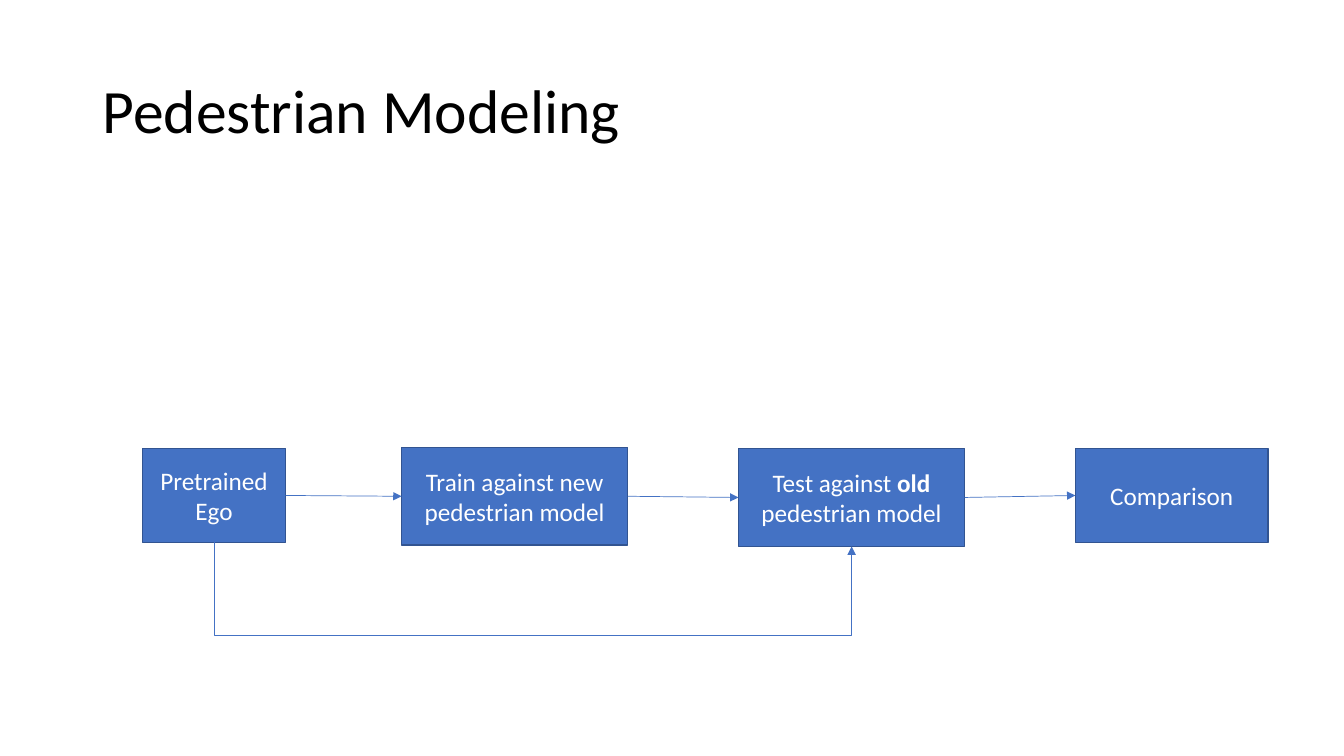
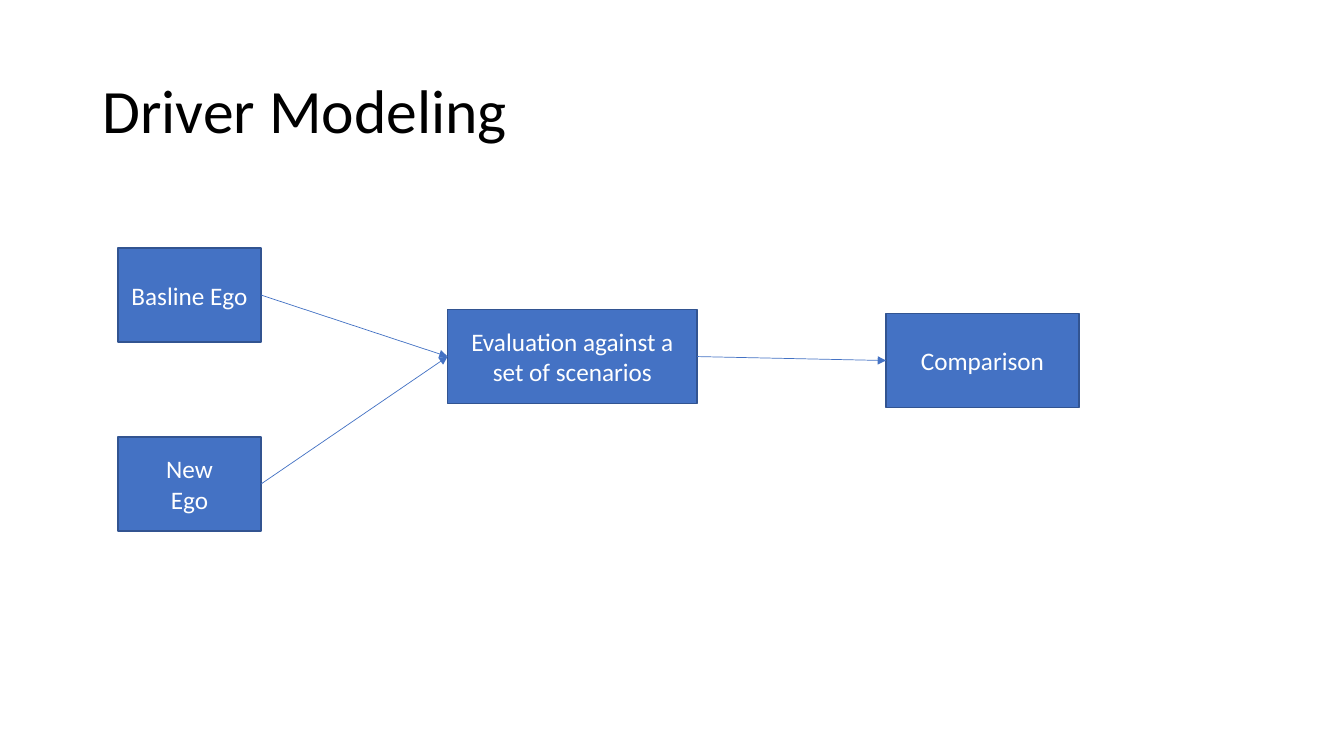
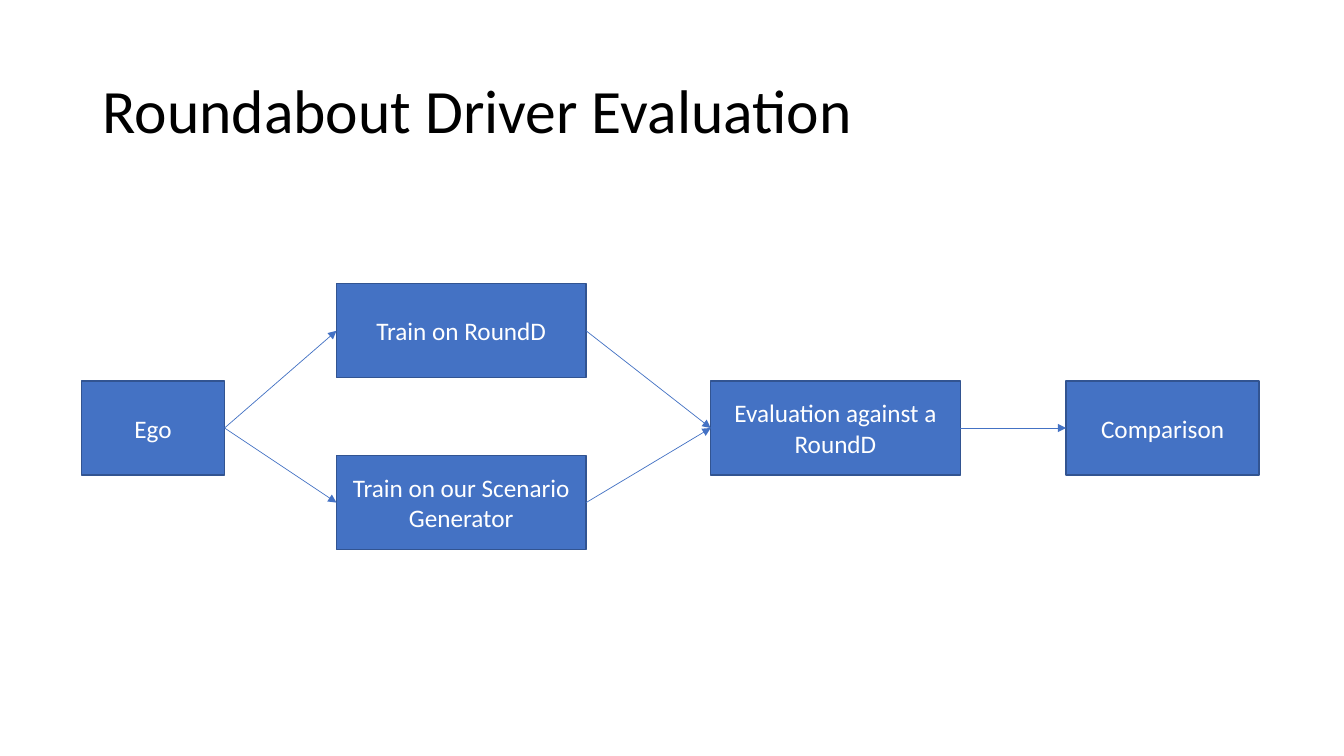
from dataclasses import dataclass

from lxml.etree import SubElement
from pptx import Presentation
from pptx.dml.color import RGBColor
from pptx.enum.shapes import MSO_CONNECTOR, MSO_SHAPE
from pptx.enum.text import MSO_ANCHOR, PP_ALIGN
from pptx.oxml.ns import qn
from pptx.util import Cm, Pt

TOP, LEFT, BOTTOM, RIGHT = range(4)


@dataclass(frozen=True)
class Theme:
    """Colours, type sizes and common lengths in centimetres."""

    font: str = "Calibri"
    title_color: RGBColor = RGBColor(0, 0, 0)
    step_color: RGBColor = RGBColor(0x44, 0x72, 0xC4)
    border_color: RGBColor = RGBColor(0x32, 0x54, 0x91)
    step_text_color: RGBColor = RGBColor(255, 255, 255)
    title_size: Pt = Pt(44)
    step_size: Pt = Pt(18)
    border_width: Pt = Pt(1)
    arrow_width: Pt = Pt(0.5)
    step_height: float = 2.37
    ego_width: float = 3.61
    train_width: float = 5.7
    wide_width: float = 6.29
    comparison_width: float = 4.86


@dataclass(frozen=True)
class Box:
    """A region of the slide in centimetres."""

    left: float
    top: float
    width: float
    height: float

    def inner(self, left, top, width, height=Theme.step_height):
        """Return a box placed relative to this one."""
        return Box(self.left + left, self.top + top, width, height)

    def lengths(self):
        """Return the four sides as slide lengths."""
        return Cm(self.left), Cm(self.top), Cm(self.width), Cm(self.height)


THEME = Theme()
TITLE_BOX = Box(2.33, 1.01, 29.21, 3.68)


def write_text(shape, text, *, size, color, align, spacing=1.0):
    """Write one paragraph per line, with starred words in bold."""
    frame = shape.text_frame
    frame.word_wrap = True
    frame.vertical_anchor = MSO_ANCHOR.MIDDLE
    for index, line in enumerate(text.split("\n")):
        paragraph = frame.add_paragraph() if index else frame.paragraphs[0]
        paragraph.alignment = align
        paragraph.line_spacing = spacing
        for position, part in enumerate(line.split("*")):
            run = paragraph.add_run()
            run.text = part
            run.font.name = THEME.font
            run.font.size = size
            run.font.bold = position % 2 == 1
            run.font.color.rgb = color


def add_step(slide, text, box):
    """Add a labelled rectangle for one step of a process."""
    shape = slide.shapes.add_shape(MSO_SHAPE.RECTANGLE, *box.lengths())
    shape.shadow.inherit = False
    shape.fill.solid()
    shape.fill.fore_color.rgb = THEME.step_color
    shape.line.color.rgb = THEME.border_color
    shape.line.width = THEME.border_width
    write_text(shape, text, size=THEME.step_size, color=THEME.step_text_color,
               align=PP_ALIGN.CENTER)
    return shape


def add_arrow(slide, source, target, kind=MSO_CONNECTOR.STRAIGHT,
              source_side=RIGHT, target_side=LEFT):
    """Join two steps with an arrow."""
    connector = slide.shapes.add_connector(kind, 0, 0, 0, 0)
    connector.begin_connect(source, source_side)
    connector.end_connect(target, target_side)
    connector.line.color.rgb = THEME.step_color
    connector.line.width = THEME.arrow_width
    properties = connector.element.spPr
    SubElement(properties.find(qn("a:ln")), qn("a:tailEnd"), type="triangle")
    SubElement(properties, qn("a:effectLst"))
    return connector


def add_bypass(slide, source, target, depth):
    """Lead an elbow arrow below the steps between two bottom sides."""
    connector = add_arrow(slide, source, target, MSO_CONNECTOR.ELBOW, BOTTOM, BOTTOM)
    start_x, start_y = connector.begin_x, connector.begin_y
    end_x, end_y = connector.end_x, connector.end_y
    span, drop = end_x - start_x, end_y - start_y
    connector.left = (start_x + end_x - drop) // 2
    connector.top = (start_y + end_y - span) // 2
    connector.width, connector.height = drop, span
    properties = connector.element.spPr
    frame = properties.find(qn("a:xfrm"))
    frame.set("rot", str(270 * 60000))
    frame.set("flipH", "1")
    adjustments = properties.find(qn("a:prstGeom")).find(qn("a:avLst"))
    bend = round(depth / drop * 100000)
    SubElement(adjustments, qn("a:gd"), name="adj1", fmla=f"val {bend}")


def add_comparison(slide, box, top):
    """Add the closing step at the right edge of the box."""
    left = box.width - THEME.comparison_width
    return add_step(slide, "Comparison", box.inner(left, top, THEME.comparison_width))


def draw_pedestrian_flow(slide, box):
    """Draw a row of steps with a bypass around the training."""
    pitch, taller = 8.49, 2.47
    train_left = box.width - THEME.comparison_width - 2 * pitch
    ego = add_step(slide, "Pretrained\nEgo", box.inner(0, 0, THEME.ego_width))
    train = add_step(slide, "Train against new pedestrian model",
                     box.inner(train_left, -0.03, THEME.train_width, taller))
    test = add_step(slide, "Test against *old* pedestrian model",
                    box.inner(train_left + pitch, 0, THEME.train_width, taller))
    comparison = add_comparison(slide, box, 0)
    for source, target in ((ego, train), (train, test), (test, comparison)):
        add_arrow(slide, source, target)
    add_bypass(slide, ego, test, Cm(2.34))


def draw_driver_flow(slide, box):
    """Draw two starting steps that meet in one evaluation."""
    lowest = box.height - THEME.step_height
    baseline = add_step(slide, "Basline Ego", box.inner(0, 0, THEME.ego_width))
    new = add_step(slide, "New\nEgo", box.inner(0, lowest, THEME.ego_width))
    evaluation = add_step(slide, "Evaluation against a set of scenarios",
                          box.inner(8.31, 1.55, THEME.wide_width))
    comparison = add_comparison(slide, box, 1.65)
    for source, target in ((baseline, evaluation), (new, evaluation),
                           (evaluation, comparison)):
        add_arrow(slide, source, target)


def draw_roundabout_flow(slide, box):
    """Draw a fork into two trainings that meet in one evaluation."""
    middle, lowest = 2.45, box.height - THEME.step_height
    ego = add_step(slide, "Ego", box.inner(0, middle, THEME.ego_width))
    evaluation = add_step(slide, "Evaluation against a RoundD",
                          box.inner(15.86, middle, THEME.wide_width))
    comparison = add_comparison(slide, box, middle)
    trainings = (("Train on RoundD", 0), ("Train on our Scenario Generator", lowest))
    for text, top in trainings:
        training = add_step(slide, text, box.inner(6.43, top, THEME.wide_width))
        add_arrow(slide, ego, training)
        add_arrow(slide, training, evaluation)
    add_arrow(slide, evaluation, comparison)


def add_flow_slide(presentation, layout, title, draw_flow, box):
    """Add a titled slide and draw its flow in the box."""
    slide = presentation.slides.add_slide(layout)
    write_text(slide.shapes.title, title, size=THEME.title_size,
               color=THEME.title_color, align=PP_ALIGN.LEFT, spacing=0.9)
    draw_flow(slide, box)


def main():
    """Build and save the presentation."""
    presentation = Presentation()
    presentation.slide_width, presentation.slide_height = Cm(33.87), Cm(19.05)
    layout = presentation.slide_layouts.get_by_name("Title Only")
    title = layout.placeholders[0]
    title.left, title.top, title.width, title.height = TITLE_BOX.lengths()
    flows = (
        ("Pedestrian Modeling", draw_pedestrian_flow, Box(3.59, 11.3, 28.37, 4.71)),
        ("Driver Modeling", draw_driver_flow, Box(2.97, 6.25, 24.22, 7.13)),
        ("Roundabout Driver Evaluation", draw_roundabout_flow,
         Box(2.05, 7.15, 29.68, 6.7)),
    )
    for flow in flows:
        add_flow_slide(presentation, layout, *flow)
    presentation.save("out.pptx")


if __name__ == "__main__":
    main()
